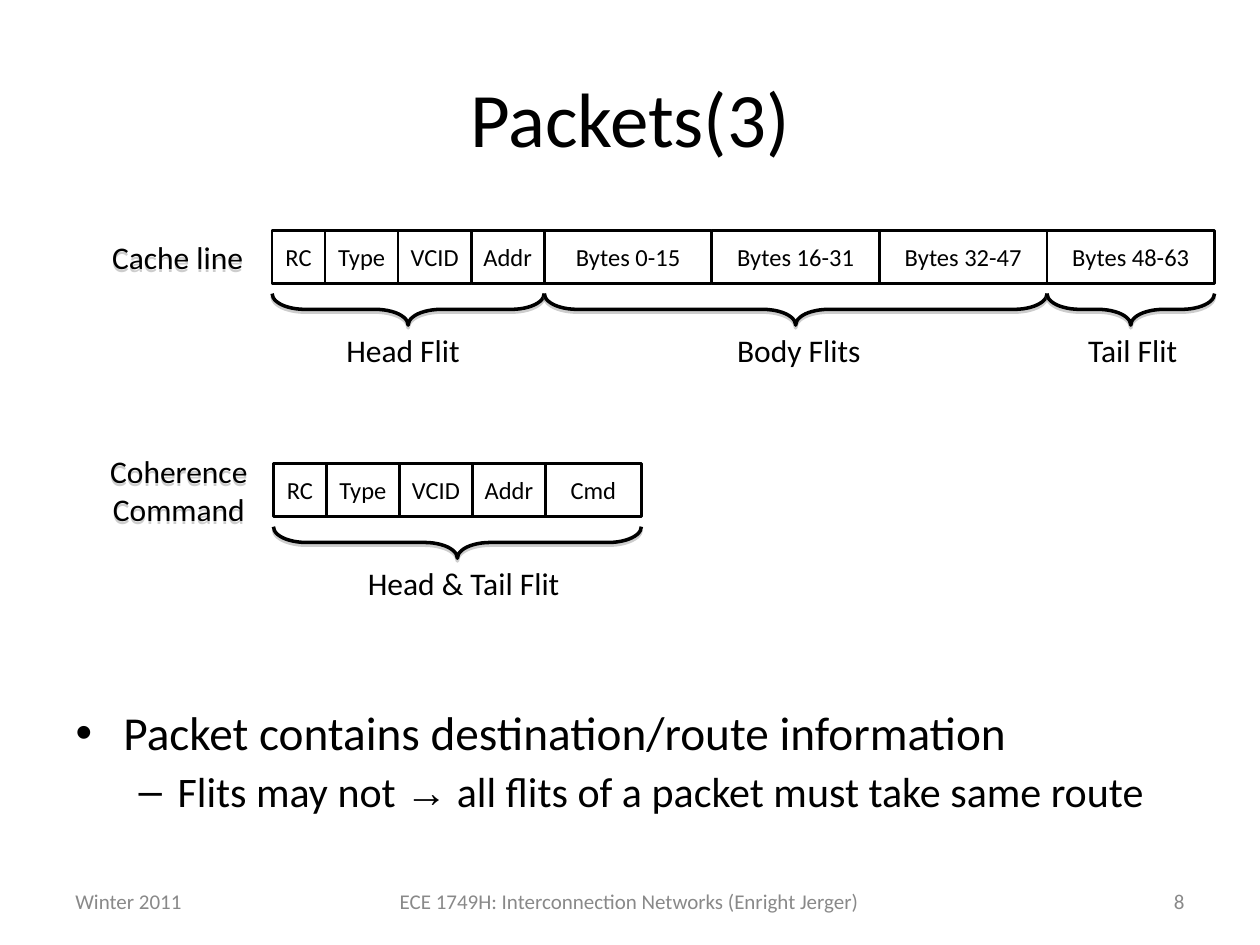
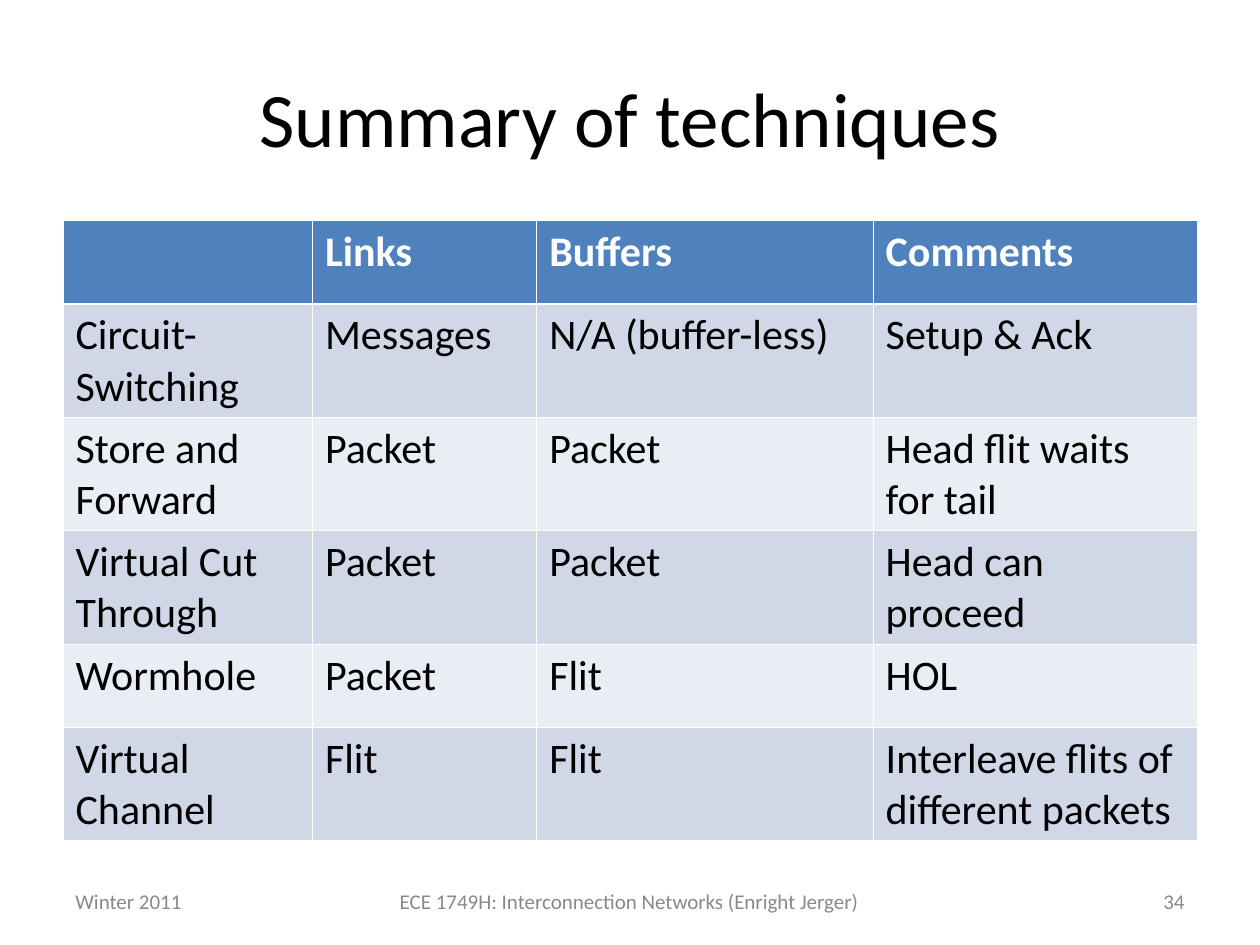
from dataclasses import dataclass
from itertools import accumulate

import pptx
import pptx.dml.color
import pptx.enum.shapes
import pptx.enum.text
import pptx.oxml
import pptx.oxml.ns
import pptx.util

Inches = pptx.util.Inches
Pt = pptx.util.Pt
Align = pptx.enum.text.PP_ALIGN
Anchor = pptx.enum.text.MSO_ANCHOR
ShapeKind = pptx.enum.shapes.MSO_SHAPE


@dataclass(frozen=True)
class Theme:
    font: str = "Calibri"
    arrow_font: str = "Arial"
    ink: str = "000000"
    white: str = "FFFFFF"
    muted: str = "898989"
    shadow: str = "808080"
    header: str = "4F81BD"
    bands: tuple[str, str] = ("D0D8E8", "E9EDF4")
    title_size: float = 44
    bullet_size: float = 27
    sub_bullet_size: float = 24
    table_size: float = 24
    label_size: float = 18
    field_size: float = 14
    footer_size: float = 12


THEME = Theme()


@dataclass(frozen=True)
class Box:
    left: float
    top: float
    width: float
    height: float

    def lengths(self) -> tuple[int, ...]:
        return tuple(Inches(value) for value in (self.left, self.top, self.width, self.height))


@dataclass(frozen=True)
class Field:
    name: str
    width: float


@dataclass(frozen=True)
class Flit:
    """A brace under the fields first..last, with its caption."""
    caption: str
    first: int
    last: int
    caption_left: float
    caption_width: float
    align: Align = Align.CENTER


@dataclass(frozen=True)
class Packet:
    label: str
    left: float
    top: float
    fields: tuple[Field, ...]
    flits: tuple[Flit, ...]


@dataclass(frozen=True)
class Bullet:
    level: int
    mark: str
    indent: float
    hang: float
    size: float
    space_before: float
    runs: tuple[tuple[str, str], ...]


TITLE_BOX = Box(0.5, 0.3, 9, 1.25)
BODY_BOX = Box(0.5, 5.58, 9, 1.12)
FIELD_HEIGHT = 0.42
LABEL_WIDTH = 1.5
BRACE_DROP, BRACE_HEIGHT, BRACE_CURVE = 0.5, 0.25, 1.04
CAPTION_DROP, CAPTION_HEIGHT = 0.75, 0.4

HEAD_FIELDS = (Field("RC", 0.42), Field("Type", 0.58), Field("VCID", 0.58), Field("Addr", 0.58))
BYTE_FIELDS = tuple(Field(f"Bytes {start}-{start + 15}", 1.33) for start in range(0, 64, 16))

PACKETS = (
    Packet("Cache line", 2.16, 1.83, HEAD_FIELDS + BYTE_FIELDS, (
        Flit("Head Flit", 0, 3, 2.65, 1.34, Align.LEFT),
        Flit("Body Flits", 4, 6, 5.1, 2.48),
        Flit("Tail Flit", 7, 7, 8.32, 1.34),
    )),
    Packet("Coherence Command", 2.17, 3.68, HEAD_FIELDS + (Field("Cmd", 0.76),), (
        Flit("Head & Tail Flit", 0, 4, 2.59, 2.18),
    )),
)

BULLETS = (
    Bullet(0, "•", 0.38, 0.38, THEME.bullet_size, 0,
           (("Packet contains destination/route information", THEME.font),)),
    Bullet(1, "–", 0.81, 0.31, THEME.sub_bullet_size, 6, (
        ("Flits may not ", THEME.font),
        ("→", THEME.arrow_font),
        (" all flits of a packet must take same route", THEME.font),
    )),
)

TECHNIQUES = (
    ("", "Links", "Buffers", "Comments"),
    ("Circuit-Switching", "Messages", "N/A (buffer-less)", "Setup & Ack"),
    ("Store and Forward", "Packet", "Packet", "Head flit waits for tail"),
    ("Virtual Cut Through", "Packet", "Packet", "Head can proceed"),
    ("Wormhole", "Packet", "Flit", "HOL"),
    ("Virtual Channel", "Flit", "Flit", "Interleave flits of different packets"),
)
TABLE_BOX = Box(0.5, 1.75, 9, 4.92)
COLUMN_WIDTHS = (1.98, 1.78, 2.67, 2.57)
ROW_HEIGHTS = (0.66, 0.9, 0.9, 0.9, 0.66, 0.9)


def rgb(color: str) -> pptx.dml.color.RGBColor:
    return pptx.dml.color.RGBColor.from_string(color)


def parse(xml: str):
    return pptx.oxml.parse_xml(xml.replace(" ", f" {pptx.oxml.ns.nsdecls('a')} ", 1))


def add_run(paragraph, text: str, size: float, color: str = THEME.ink,
            font: str = THEME.font, bold: bool = False) -> None:
    run = paragraph.add_run()
    run.text = text
    run.font.name, run.font.size, run.font.bold = font, Pt(size), bold
    run.font.color.rgb = rgb(color)


def add_text(slide, box: Box, text: str, size: float, color: str = THEME.ink,
             align: Align = Align.CENTER, anchor: Anchor = Anchor.MIDDLE):
    shape = slide.shapes.add_textbox(*box.lengths())
    frame = shape.text_frame
    frame.word_wrap, frame.vertical_anchor = True, anchor
    frame.paragraphs[0].alignment = align
    add_run(frame.paragraphs[0], text, size, color)
    return shape


def cast_shadow(shape) -> None:
    """Give the shape a hard grey shadow straight below it."""
    shape.shadow.inherit = False
    effects = shape._element.spPr.find(pptx.oxml.ns.qn("a:effectLst"))
    effects.append(parse(
        f'<a:outerShdw blurRad="0" dist="{Pt(1.6)}" dir="5400000" rotWithShape="0">'
        f'<a:srgbClr val="{THEME.shadow}"><a:alpha val="38000"/></a:srgbClr></a:outerShdw>'))


def add_outline(slide, kind: ShapeKind, box: Box, line_width: float):
    shape = slide.shapes.add_shape(kind, *box.lengths())
    shape.shadow.inherit = False
    shape.fill.background()
    shape.line.color.rgb, shape.line.width = rgb(THEME.ink), Pt(line_width)
    return shape


def add_field(slide, box: Box, name: str) -> None:
    shape = add_outline(slide, ShapeKind.RECTANGLE, box, 1.5)
    frame = shape.text_frame
    frame.word_wrap, frame.vertical_anchor = False, Anchor.MIDDLE
    frame.paragraphs[0].alignment = Align.CENTER
    add_run(frame.paragraphs[0], name, THEME.field_size)


def add_brace(slide, left: float, right: float, top: float) -> None:
    """Turn a left brace so that it spans left..right and points down."""
    span = right - left
    upright = Box((left + right - BRACE_HEIGHT) / 2, top + (BRACE_HEIGHT - span) / 2,
                  BRACE_HEIGHT, span)
    brace = add_outline(slide, ShapeKind.LEFT_BRACE, upright, 2)
    brace.rotation = 270
    brace.adjustments[0] = BRACE_CURVE
    cast_shadow(brace)


def add_packet(slide, packet: Packet) -> None:
    label_box = Box(packet.left - LABEL_WIDTH, packet.top, LABEL_WIDTH, FIELD_HEIGHT)
    cast_shadow(add_text(slide, label_box, packet.label, THEME.label_size))
    edges = list(accumulate((field.width for field in packet.fields), initial=packet.left))
    for left, field in zip(edges, packet.fields):
        add_field(slide, Box(left, packet.top, field.width, FIELD_HEIGHT), field.name)
    for flit in packet.flits:
        add_brace(slide, edges[flit.first], edges[flit.last + 1], packet.top + BRACE_DROP)
        caption_box = Box(flit.caption_left, packet.top + CAPTION_DROP,
                          flit.caption_width, CAPTION_HEIGHT)
        add_text(slide, caption_box, flit.caption, THEME.label_size,
                 align=flit.align, anchor=Anchor.TOP)


def place(placeholder, box: Box, anchor: Anchor):
    placeholder.left, placeholder.top, placeholder.width, placeholder.height = box.lengths()
    frame = placeholder.text_frame
    frame.auto_size = pptx.enum.text.MSO_AUTO_SIZE.NONE
    frame.word_wrap, frame.vertical_anchor = True, anchor
    return frame


def add_bullets(placeholder) -> None:
    frame = place(placeholder, BODY_BOX, Anchor.TOP)
    for index, bullet in enumerate(BULLETS):
        paragraph = frame.add_paragraph() if index else frame.paragraphs[0]
        paragraph.level = bullet.level
        paragraph.line_spacing, paragraph.space_before = 0.9, Pt(bullet.space_before)
        properties = paragraph._p.get_or_add_pPr()
        properties.set("marL", str(Inches(bullet.indent)))
        properties.set("indent", str(-Inches(bullet.hang)))
        properties.append(parse(f'<a:buClr ><a:srgbClr val="{THEME.ink}"/></a:buClr>'))
        properties.append(parse(f'<a:buFont typeface="{THEME.arrow_font}"/>'))
        properties.append(parse(f'<a:buChar char="{bullet.mark}"/>'))
        for text, font in bullet.runs:
            add_run(paragraph, text, bullet.size, font=font)


def set_borders(cell, top: float, bottom: float) -> None:
    properties = cell._tc.get_or_add_tcPr()
    widths = {"lnL": 0.45, "lnR": 0.45, "lnT": top, "lnB": bottom}
    for position, (side, width) in enumerate(widths.items()):
        properties.insert(position, parse(
            f'<a:{side} w="{Pt(width)}"><a:solidFill><a:srgbClr val="{THEME.white}"/>'
            f'</a:solidFill></a:{side}>'))


def add_techniques_table(slide) -> None:
    table = slide.shapes.add_table(len(TECHNIQUES), len(COLUMN_WIDTHS), *TABLE_BOX.lengths()).table
    table.horz_banding = False
    for column, width in zip(table.columns, COLUMN_WIDTHS):
        column.width = Inches(width)
    for row_index, (row, height, texts) in enumerate(zip(table.rows, ROW_HEIGHTS, TECHNIQUES)):
        row.height = Inches(height)
        is_header = row_index == 0
        fill = THEME.header if is_header else THEME.bands[(row_index - 1) % 2]
        for cell, text in zip(row.cells, texts):
            cell.fill.solid()
            cell.fill.fore_color.rgb = rgb(fill)
            set_borders(cell, top=1.47 if row_index == 1 else 0.45,
                        bottom=1.47 if is_header else 0.45)
            if text:
                add_run(cell.text_frame.paragraphs[0], text, THEME.table_size,
                        THEME.white if is_header else THEME.ink, bold=is_header)


def add_slide(presentation, layout_name: str, title: str, number: int):
    """Add a slide with the shared title style and footer."""
    slide = presentation.slides.add_slide(presentation.slide_layouts.get_by_name(layout_name))
    paragraph = place(slide.shapes.title, TITLE_BOX, Anchor.MIDDLE).paragraphs[0]
    paragraph.alignment = Align.CENTER
    add_run(paragraph, title, THEME.title_size)
    footers = (
        (0.5, 2.33, "Winter 2011", Align.LEFT),
        (2.83, 4.33, "ECE 1749H: Interconnection Networks (Enright Jerger)", Align.CENTER),
        (7.17, 2.33, str(number), Align.RIGHT),
    )
    for left, width, text, align in footers:
        add_text(slide, Box(left, 6.95, width, 0.4), text, THEME.footer_size, THEME.muted, align)
    return slide


def main() -> None:
    presentation = pptx.Presentation()
    presentation.slide_width, presentation.slide_height = Inches(10), Inches(7.5)

    packets_slide = add_slide(presentation, "Title and Content", "Packets(3)", 8)
    add_bullets(packets_slide.placeholders[1])
    for packet in PACKETS:
        add_packet(packets_slide, packet)

    summary_slide = add_slide(presentation, "Title Only", "Summary of techniques", 34)
    add_techniques_table(summary_slide)

    presentation.save("out.pptx")


if __name__ == "__main__":
    main()
